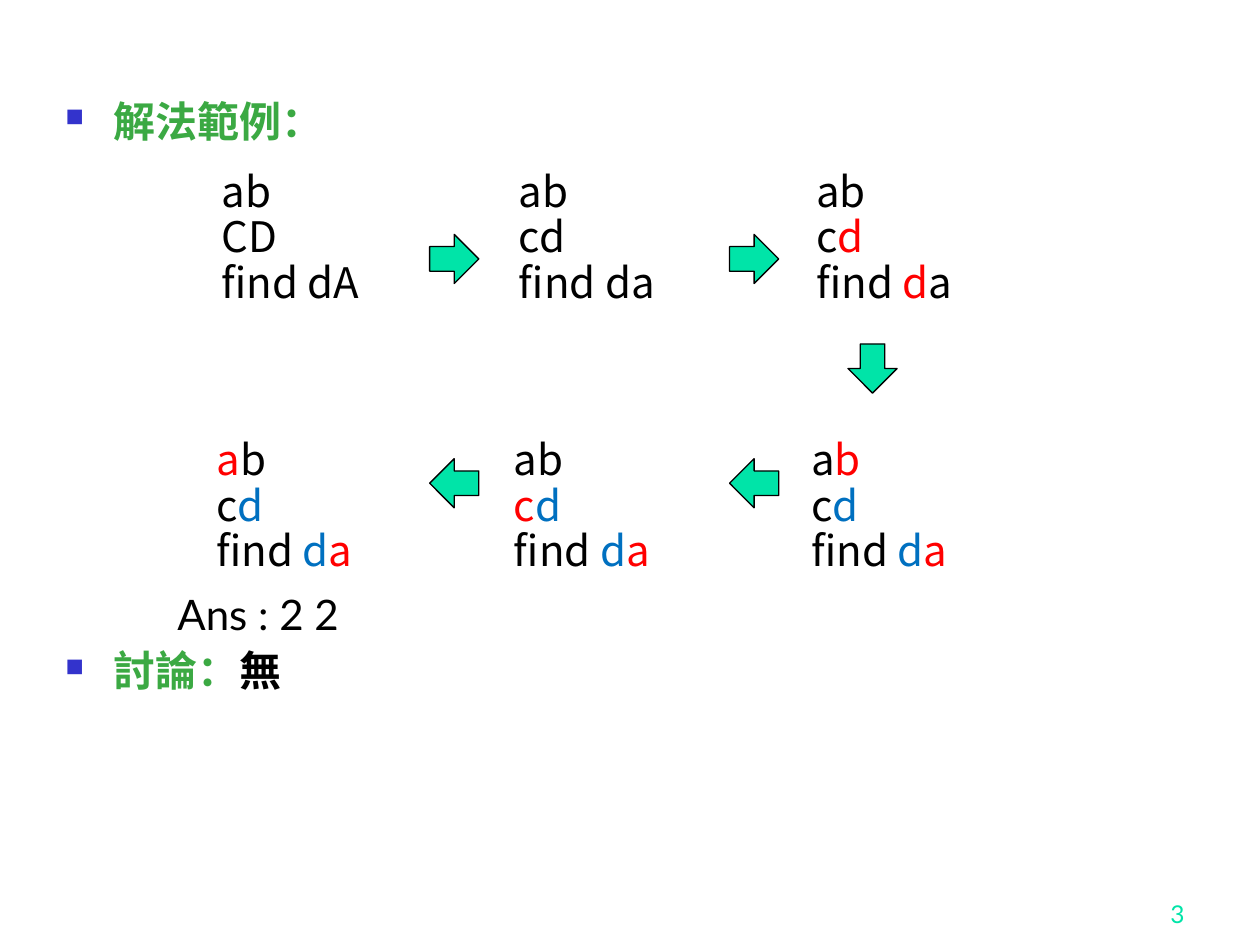
from dataclasses import dataclass
from lxml import etree
from pptx import Presentation
from pptx.dml.color import RGBColor
from pptx.enum.shapes import MSO_SHAPE
from pptx.enum.text import MSO_ANCHOR, PP_ALIGN
from pptx.oxml.ns import qn
from pptx.util import Inches, Pt

RIGHT = MSO_SHAPE.RIGHT_ARROW
DOWN = MSO_SHAPE.DOWN_ARROW
LEFT = MSO_SHAPE.LEFT_ARROW
BOTTOM = MSO_ANCHOR.BOTTOM
TO_RIGHT = PP_ALIGN.RIGHT


@dataclass(frozen=True)
class Theme:
    ink: str = "000000"
    red: str = "FF0000"
    blue: str = "0070C0"
    green: str = "3BA943"
    mint: str = "00E4A8"
    mark: str = "3333CC"
    sans: str = "Noto Sans CJK SC"
    serif: str = "Times New Roman"
    label: str = "Lato"
    size: int = 24
    small: int = 14
    lead: float = 0.9


T = Theme()


def add_run(para, text, color=T.ink, face=T.sans, size=T.size, bold=False):
    run = para.add_run()
    run.text = text
    font = run.font
    font.name, font.size, font.bold = face, Pt(size), bold
    font.color.rgb = RGBColor.from_string(color)
    east = etree.Element(qn("a:ea"), typeface=T.sans)
    font._element.find(qn("a:latin")).addnext(east)


def add_box(slide, left, top, width, height):
    box = slide.shapes.add_textbox(
        Inches(left), Inches(top), Inches(width), Inches(height))
    frame = box.text_frame
    frame.word_wrap = True
    return frame


def add_lines(frame, lines):
    for i, runs in enumerate(lines):
        para = frame.add_paragraph() if i else frame.paragraphs[0]
        para.line_spacing = T.lead
        for run in runs:
            add_run(para, *run)


def add_bullet(para):
    props = para._p.get_or_add_pPr()
    props.set("marL", str(Inches(0.38)))
    props.set("indent", str(-Inches(0.38)))
    color = etree.SubElement(props, qn("a:buClr"))
    etree.SubElement(color, qn("a:srgbClr"), val=T.mark)
    etree.SubElement(props, qn("a:buSzPct"), val="60000")
    etree.SubElement(props, qn("a:buChar"), char="■")


def add_body(slide):
    frame = add_box(slide, 0.42, 0.75, 8.83, 6.15)
    heads = [
        [("解法範例：", T.green)],
        [("討論：", T.green), ("無", T.ink)],
    ]
    add_lines(frame, [[(text, color, T.serif, T.size, True)
                       for text, color in runs] for runs in heads])
    for para in frame.paragraphs:
        add_bullet(para)
    frame.paragraphs[1].space_before = Pt(288)


def add_arrow(slide, kind, left, top):
    side = Inches(0.39)
    arrow = slide.shapes.add_shape(kind, Inches(left), Inches(top), side, side)
    arrow.shadow.inherit = False
    arrow.fill.solid()
    arrow.fill.fore_color.rgb = RGBColor.from_string(T.mint)
    arrow.line.color.rgb = RGBColor.from_string(T.ink)
    arrow.line.width = Pt(0.75)


def add_steps(slide, left, top, steps):
    for i, lines in enumerate(steps):
        add_lines(add_box(slide, left + 2.36 * i, top, 1.6, 1.58), lines)


def add_note(slide, spot, text, color, size):
    frame = add_box(slide, *spot)
    add_run(frame.paragraphs[0], text, color, T.label, size)
    return frame


def main():
    deck = Presentation()
    deck.slide_width, deck.slide_height = Inches(10), Inches(7.5)
    slide = deck.slides.add_slide(deck.slide_layouts[6])

    add_body(slide)
    add_steps(slide, 1.66, 1.31, [
        [[("ab",)], [("CD",)], [("find dA",)]],
        [[("ab",)], [("cd",)], [("find da",)]],
        [[("ab",)], [("c",), ("d", T.red)],
         [("find ",), ("d", T.red), ("a",)]],
    ])
    found = [("find ",), ("d", T.blue), ("a", T.red)]
    add_steps(slide, 1.62, 3.44, [
        [[("a", T.red), ("b",)], [("c",), ("d", T.blue)], found],
        [[("ab",)], [("c", T.red), ("d", T.blue)], found],
        [[("a",), ("b", T.red)], [("c",), ("d", T.blue)], found],
    ])
    for left in (3.41, 5.79):
        add_arrow(slide, RIGHT, left, 1.86)
        add_arrow(slide, LEFT, left, 3.64)
    add_arrow(slide, DOWN, 6.73, 2.73)

    add_note(slide, (1.31, 4.62, 1.51, 0.5), "Ans : 2 2", T.ink, T.size)
    page = add_note(slide, (7.42, 6.92, 2.08, 0.5), "3", T.mint, T.small)
    page.vertical_anchor = BOTTOM
    page.paragraphs[0].alignment = TO_RIGHT
    deck.save("out.pptx")


if __name__ == "__main__":
    main()
